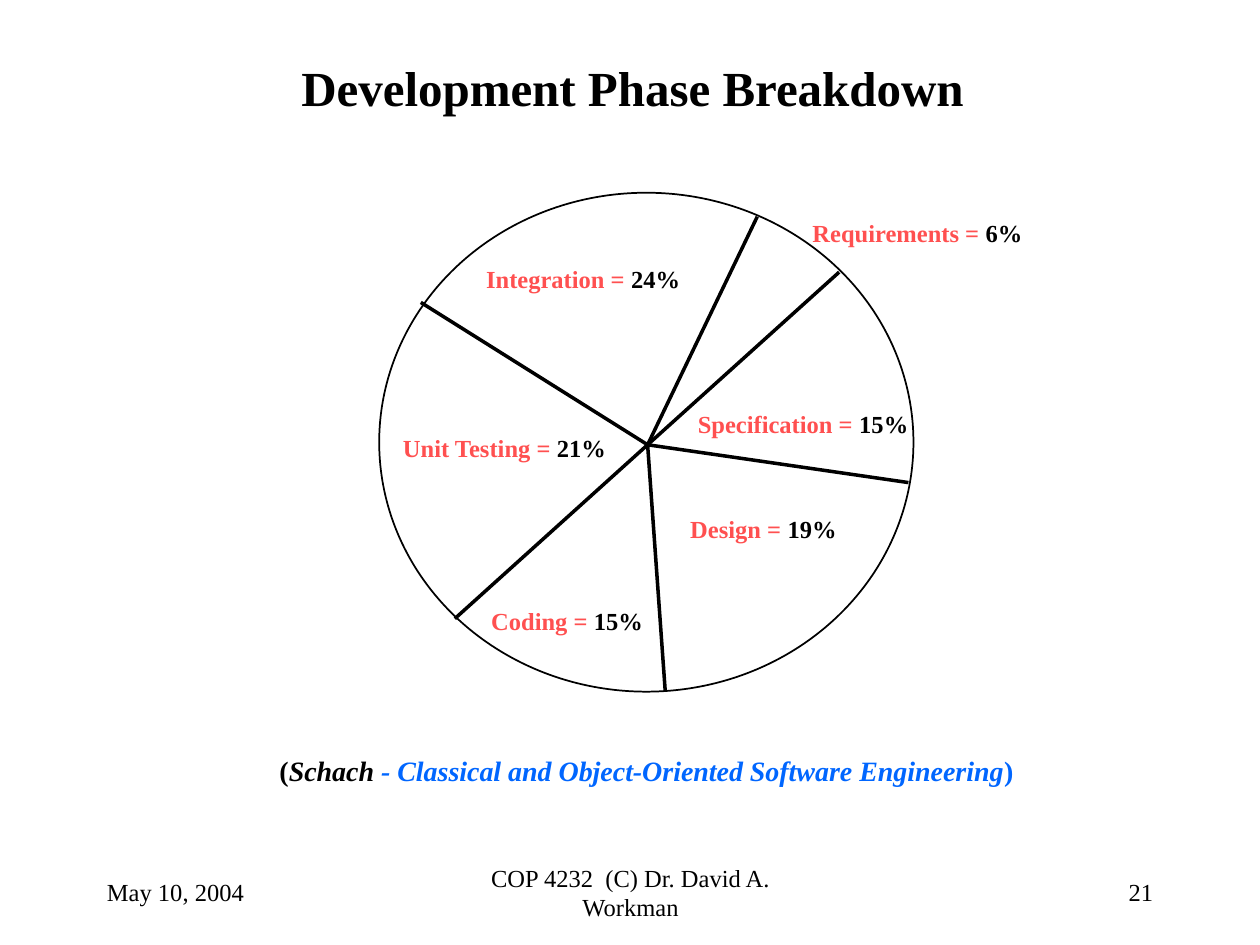
from lxml import etree
from pptx import Presentation
from pptx import util as u
from pptx.dml.color import RGBColor
from pptx.enum import shapes, text
from pptx.oxml.ns import qn

BLACK = RGBColor(0x00, 0x00, 0x00)
RED = RGBColor(0xFF, 0x50, 0x50)
BLUE = RGBColor(0x00, 0x66, 0xFF)
PP = text.PP_ALIGN

prs = Presentation()
prs.slide_width, prs.slide_height = u.Inches(10), u.Inches(7.5)
col, row = prs.slide_width / 100, prs.slide_height / 75
s = prs.slides.add_slide(prs.slide_layouts[5])


def grid(left, top, width, height):
    return [round(v * unit) for v, unit in
            zip((left, top, width, height), (col, row, col, row))]


def write(sp, runs, size, align=PP.LEFT, anchor=text.MSO_ANCHOR.TOP,
          wrap=True, **fmt):
    tf = sp.text_frame
    tf.auto_size = text.MSO_AUTO_SIZE.NONE
    tf.word_wrap = wrap
    tf.vertical_anchor = anchor
    p = tf.paragraphs[0]
    p.alignment = align
    for words, color, extra in runs:
        r = p.add_run()
        r.text = words
        r.font.color.rgb = color
        values = {"name": "Times New Roman", "size": u.Pt(size), **fmt, **extra}
        for key, value in values.items():
            setattr(r.font, key, value)


title = s.shapes.title
title.left, title.top, title.width, title.height = grid(7.7, 4, 85, 5.8)
write(title, [("Development Phase Breakdown", BLACK, {})], 28,
      PP.CENTER, text.MSO_ANCHOR.MIDDLE, bold=True)

pie = s.shapes.add_shape(shapes.MSO_SHAPE.OVAL, *grid(30.1, 15.3, 42.4, 39.6))
pie.shadow.inherit = False
pie.fill.background()
pie.line.color.rgb = BLACK
pie.line.width = u.Pt(1)

hub = (51.4, 35.3)
rim = [(66.6, 21.6), (60.1, 17.2), (72.1, 38.3),
       (52.8, 54.9), (36.1, 49.1), (33.4, 24)]
for end in rim:
    spoke = s.shapes.add_connector(shapes.MSO_CONNECTOR.STRAIGHT, *grid(*hub, *end))
    spoke.line.color.rgb = BLACK
    spoke.line.width = u.Pt(2)
    etree.SubElement(spoke._element.spPr, qn("a:effectLst"))

phases = [("Integration", 24, 37.6, 20.5, 17.4),
          ("Unit Testing", 21, 31, 33.9, 18.4),
          ("Coding", 15, 38, 47.6, 14.1),
          ("Design", 19, 53.8, 40.3, 13.6),
          ("Specification", 15, 54.4, 32, 18.7),
          ("Requirements", 6, 63.5, 16.8, 18.7)]
for phase, share, left, top, width in phases:
    label = s.shapes.add_textbox(*grid(left, top, width, 3.3))
    write(label, [(f"{phase} = ", RED, {}), (f"{share}%", BLACK, {})], 14,
          wrap=False, bold=True)

source = s.shapes.add_textbox(*grid(21.2, 59.3, 60.3, 3.7))
write(source, [("(", BLACK, {}),
               ("Schach", BLACK, {"italic": True}),
               (" - Classical and Object-Oriented Software Engineering", BLUE,
                {"italic": True}),
               (")", BLUE, {})], 16, wrap=False, bold=True)

footers = [("May 10, 2004", 7.5, 20.8, PP.LEFT),
           ("COP 4232  (C) Dr. David A. Workman", 34.2, 31.7, PP.CENTER),
           ("21", 71.7, 20.8, PP.RIGHT)]
for words, left, width, align in footers:
    footer = s.shapes.add_textbox(*grid(left, 68.3, width, 5))
    write(footer, [(words, BLACK, {})], 14, align, text.MSO_ANCHOR.MIDDLE)

prs.save("out.pptx")
